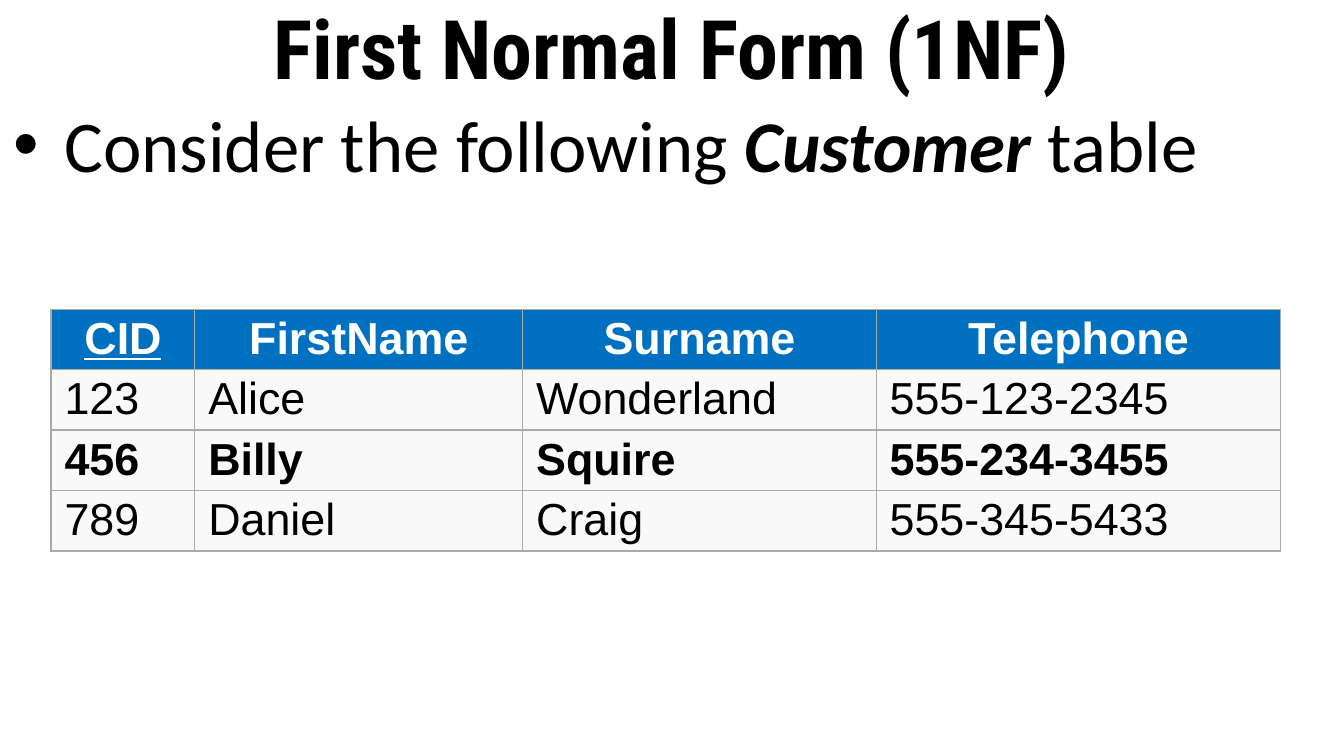
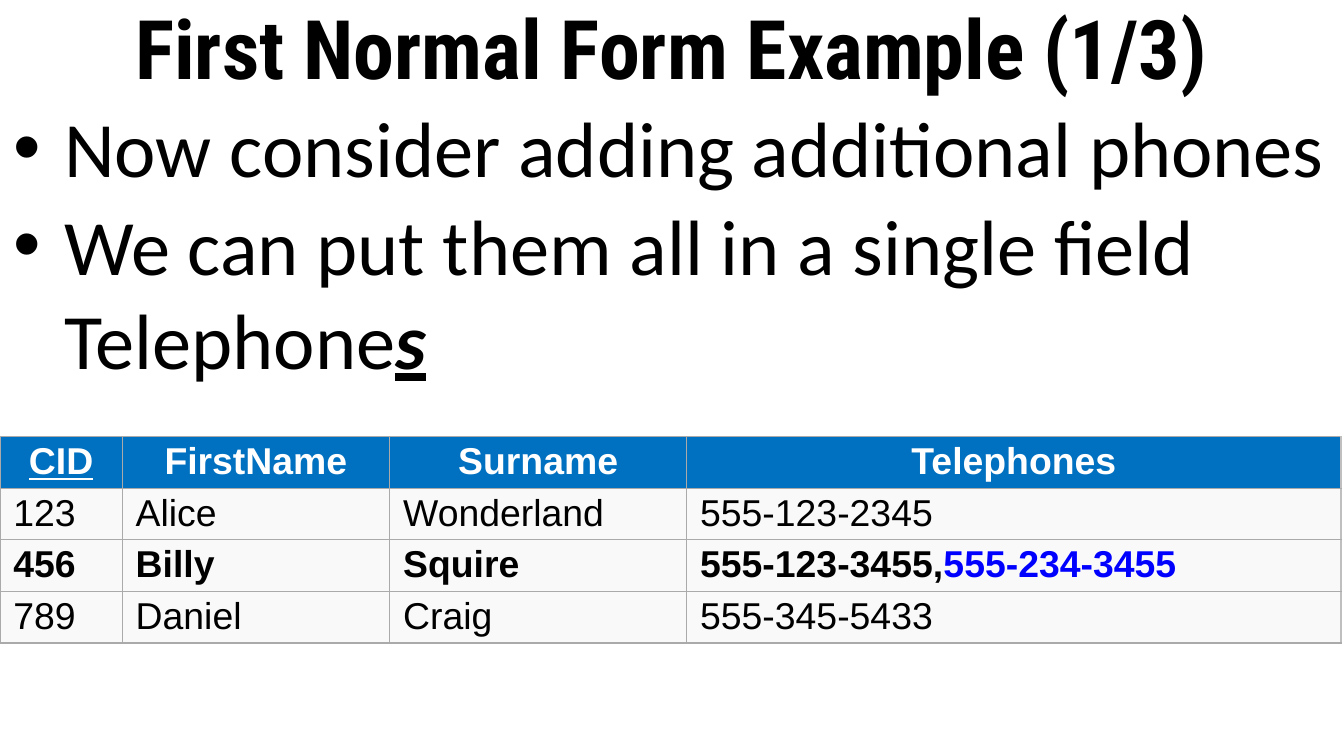
from dataclasses import dataclass

import lxml.etree
import pptx
import pptx.dml.color
import pptx.enum.text
import pptx.oxml
import pptx.oxml.ns
import pptx.slide
import pptx.table
import pptx.text.text
import pptx.util

Inches = pptx.util.Inches
Pt = pptx.util.Pt
ALIGN = pptx.enum.text.PP_ALIGN
ANCHOR = pptx.enum.text.MSO_ANCHOR

COLORS = {
    "background": "FFFFFF",
    "text": "000000",
    "header_text": "FFFFFF",
    "header_fill": "0070C0",
    "row_fill": "F9F9F9",
    "border": "AAAAAA",
    "right_border": "BFBFBF",
    "new_phone": "0000FF",
}
SLIDE_WIDTH = 10
SLIDE_HEIGHT = SLIDE_WIDTH * 9 / 16
TITLE_HEIGHT = 0.69
TITLE_FONT, BODY_FONT, TABLE_FONT = "Roboto Condensed", "Calibri", "Arial"
TITLE_SIZE = 44


@dataclass(frozen=True)
class Run:
    text: str
    bold: bool = False
    italic: bool = False
    underline: bool = False
    color: str = "text"


@dataclass(frozen=True)
class Bullets:
    items: list[list[Run]]
    size: float
    hanging: float
    space_before: float = 0


@dataclass(frozen=True)
class CustomerTable:
    left: float
    top: float
    columns: list[float]
    row_height: float
    size: float
    phone_header: str
    billy_phones: list[Run]
    right_border: tuple[str, float]


@dataclass(frozen=True)
class NormalFormSlide:
    title: str
    bullets: Bullets
    customers: CustomerTable


def rgb(name: str) -> pptx.dml.color.RGBColor:
    return pptx.dml.color.RGBColor.from_string(COLORS[name])


def set_format(target: object, values: dict) -> None:
    for name, value in values.items():
        setattr(target, name, value)


def write_runs(paragraph: pptx.text.text._Paragraph, runs: list[Run], font: str, size: float) -> None:
    for item in runs:
        run = paragraph.add_run()
        run.text = item.text
        set_format(run.font, {
            "name": font,
            "size": Pt(size),
            "bold": item.bold,
            "italic": item.italic,
            "underline": item.underline,
        })
        run.font.color.rgb = rgb(item.color)


def add_text_frame(slide: pptx.slide.Slide, top: float, height: float, values: dict) -> pptx.text.text.TextFrame:
    box = slide.shapes.add_textbox(Inches(0), Inches(top), Inches(SLIDE_WIDTH), Inches(height))
    set_format(box.text_frame, {"word_wrap": True, **values})
    return box.text_frame


def add_title(slide: pptx.slide.Slide, title: str) -> None:
    frame = add_text_frame(slide, 0, TITLE_HEIGHT, {"vertical_anchor": ANCHOR.MIDDLE})
    paragraph = frame.paragraphs[0]
    paragraph.alignment = ALIGN.CENTER
    write_runs(paragraph, [Run(title, bold=True)], TITLE_FONT, TITLE_SIZE)


def add_bullet_mark(paragraph: pptx.text.text._Paragraph, hanging: float) -> None:
    properties = paragraph._p.get_or_add_pPr()
    properties.set("marL", str(Inches(0.38)))
    properties.set("indent", str(-Inches(hanging)))
    color = lxml.etree.SubElement(properties, pptx.oxml.ns.qn("a:buClr"))
    lxml.etree.SubElement(color, pptx.oxml.ns.qn("a:srgbClr"), val=COLORS["text"])
    lxml.etree.SubElement(properties, pptx.oxml.ns.qn("a:buFont"), typeface=TABLE_FONT)
    lxml.etree.SubElement(properties, pptx.oxml.ns.qn("a:buChar"), char="•")


def add_bullets(slide: pptx.slide.Slide, bullets: Bullets) -> None:
    frame = add_text_frame(slide, TITLE_HEIGHT, SLIDE_HEIGHT - TITLE_HEIGHT, {
        "margin_top": Inches(0.05),
        "margin_right": Inches(0.05),
    })
    for index, runs in enumerate(bullets.items):
        paragraph = frame.add_paragraph() if index else frame.paragraphs[0]
        add_bullet_mark(paragraph, bullets.hanging)
        if index:
            paragraph.space_before = Pt(bullets.space_before)
        write_runs(paragraph, runs, BODY_FONT, bullets.size)


def set_borders(cell: pptx.table._Cell, right: tuple[str, float]) -> None:
    plain = ("border", 0.75)
    properties = cell._tc.get_or_add_tcPr()
    for side, (color, width) in {"L": plain, "R": right, "T": plain, "B": plain}.items():
        line = lxml.etree.SubElement(properties, pptx.oxml.ns.qn(f"a:ln{side}"), w=str(Pt(width)))
        fill = lxml.etree.SubElement(line, pptx.oxml.ns.qn("a:solidFill"))
        lxml.etree.SubElement(fill, pptx.oxml.ns.qn("a:srgbClr"), val=COLORS[color])


def customer_rows(customers: CustomerTable) -> list[list[list[Run]]]:
    header = ["CID", "FirstName", "Surname", customers.phone_header]
    alice = ["123", "Alice", "Wonderland", "555-123-2345"]
    billy = ["456", "Billy", "Squire"]
    daniel = ["789", "Daniel", "Craig", "555-345-5433"]
    return [
        [[Run(text, bold=True, underline=text == "CID", color="header_text")] for text in header],
        [[Run(text)] for text in alice],
        [[Run(text, bold=True)] for text in billy] + [customers.billy_phones],
        [[Run(text)] for text in daniel],
    ]


def add_customer_table(slide: pptx.slide.Slide, customers: CustomerTable) -> None:
    rows = customer_rows(customers)
    table = slide.shapes.add_table(
        len(rows), len(customers.columns), Inches(customers.left), Inches(customers.top),
        Inches(sum(customers.columns)), Inches(customers.row_height * len(rows)),
    ).table
    set_format(table, {"first_row": False, "horz_banding": False})
    for column, width in zip(table.columns, customers.columns):
        column.width = Inches(width)
    for row_index, row in enumerate(rows):
        for column_index, runs in enumerate(row):
            cell = table.cell(row_index, column_index)
            is_last = column_index == len(row) - 1
            set_borders(cell, customers.right_border if is_last else ("border", 0.75))
            cell.fill.solid()
            cell.fill.fore_color.rgb = rgb("row_fill" if row_index else "header_fill")
            set_format(cell, {
                "vertical_anchor": ANCHOR.MIDDLE,
                "margin_left": Inches(0.1),
                "margin_right": Inches(0.1),
                "margin_top": Inches(0.02),
                "margin_bottom": Inches(0.03),
            })
            paragraph = cell.text_frame.paragraphs[0]
            paragraph.alignment = ALIGN.LEFT if row_index else ALIGN.CENTER
            write_runs(paragraph, runs, TABLE_FONT, customers.size)


SLIDES = [
    NormalFormSlide(
        "First Normal Form (1NF)",
        Bullets(
            [[Run("Consider the following "), Run("Customer", bold=True, italic=True), Run(" table")]],
            size=39, hanging=0.42,
        ),
        CustomerTable(
            0.38, 2.3, [1.07, 2.44, 2.63, 3.01], 0.29, 24, "Telephone",
            [Run("555-234-3455", bold=True)], ("border", 0.75),
        ),
    ),
    NormalFormSlide(
        "First Normal Form Example (1/3)",
        Bullets(
            [
                [Run("Now consider adding additional phones")],
                [
                    Run("We can put them all in a single field Telephone"),
                    Run("s", bold=True, italic=True, underline=True),
                ],
            ],
            size=42, hanging=0.44, space_before=1.7,
        ),
        CustomerTable(
            0, 3.25, [0.91, 1.99, 2.21, 4.87], 0.25, 20, "Telephones",
            [Run("555-123-3455,", bold=True), Run("555-234-3455", bold=True, color="new_phone")],
            ("right_border", 1),
        ),
    ),
]


def main() -> None:
    presentation = pptx.Presentation()
    set_format(presentation, {"slide_width": Inches(SLIDE_WIDTH), "slide_height": Inches(SLIDE_HEIGHT)})
    for content in SLIDES:
        slide = presentation.slides.add_slide(presentation.slide_layouts[6])
        slide.background.fill.solid()
        slide.background.fill.fore_color.rgb = rgb("background")
        add_title(slide, content.title)
        add_bullets(slide, content.bullets)
        add_customer_table(slide, content.customers)
    presentation.save("out.pptx")


if __name__ == "__main__":
    main()
